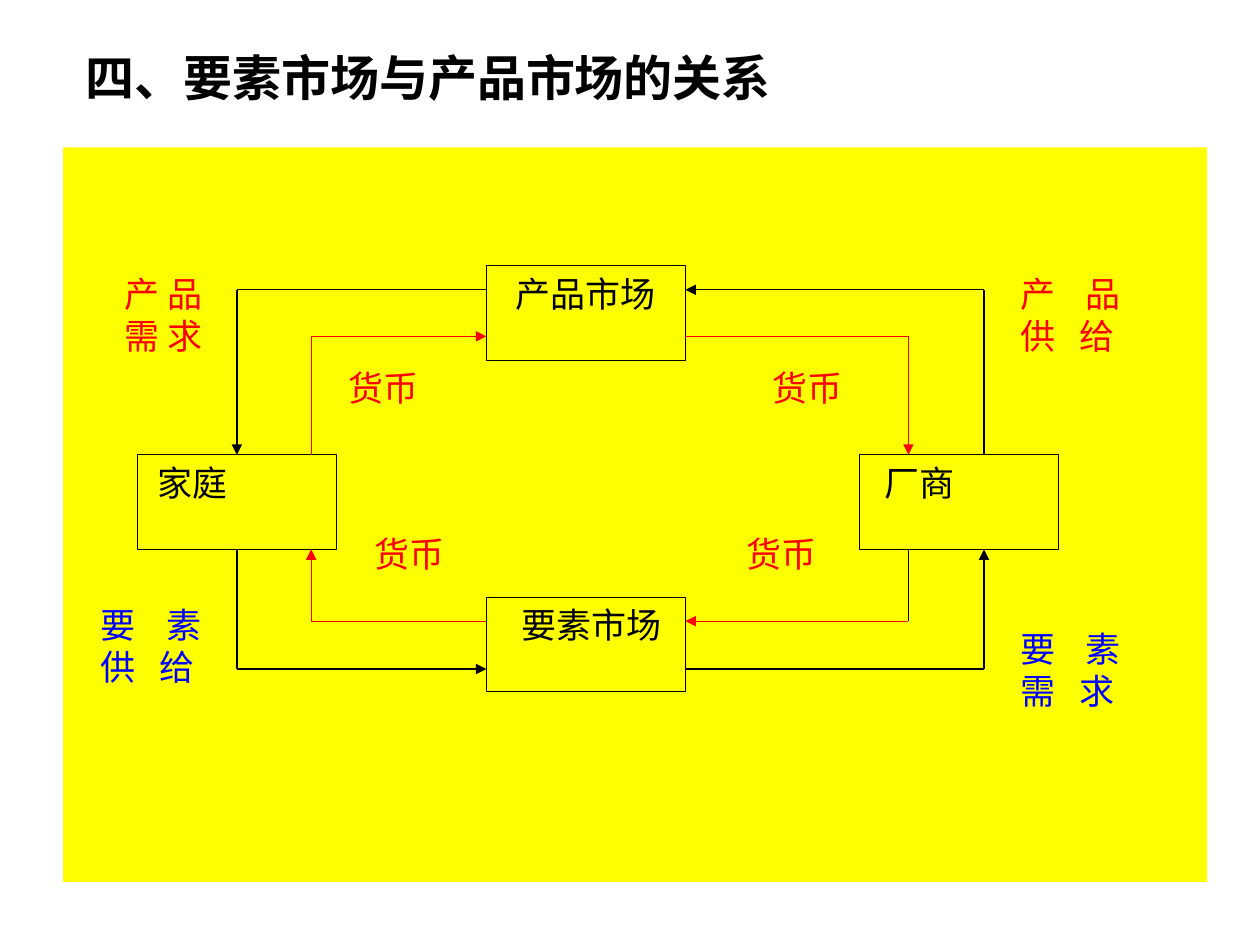
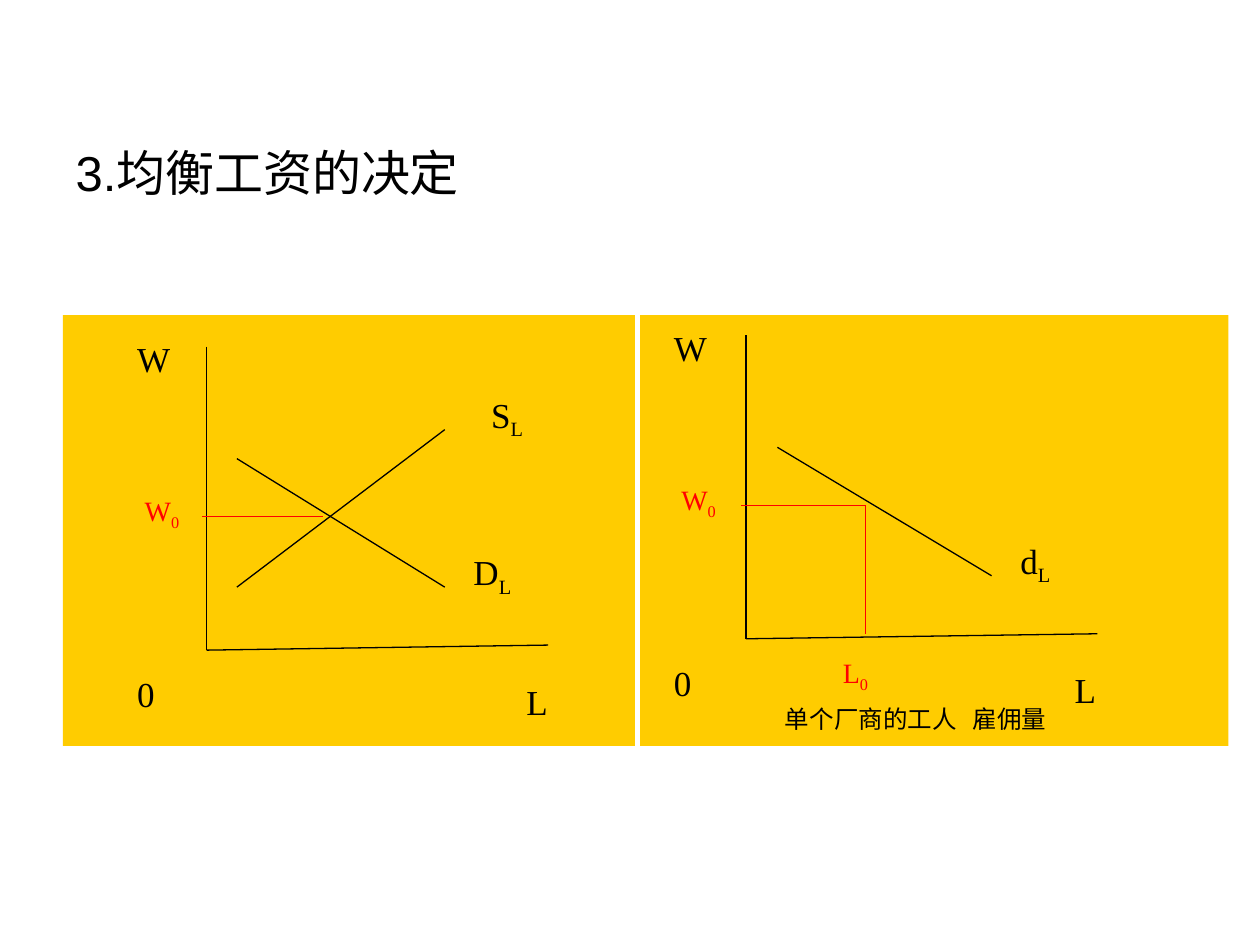
from dataclasses import dataclass, replace

from lxml import etree
from pptx import Presentation
from pptx import util as u
from pptx.dml.color import RGBColor
from pptx.enum import shapes, text
from pptx.oxml.ns import qn

PX = u.Inches(1) // 100
BLACK = RGBColor(0, 0, 0)
WHITE = RGBColor(255, 255, 255)
RED = RGBColor(255, 0, 0)
BLUE = RGBColor(0, 0, 255)
YELLOW = RGBColor(255, 255, 0)
GOLD = RGBColor(255, 204, 0)
TITLE_FONT, LABEL_FONT = "Arial", "Times New Roman"
TITLE_SIZE = 28
INSET_LEFT, INSET_RIGHT, INSET_Y = 10, 5, 5


@dataclass(frozen=True)
class Area:
    left: int
    top: int
    width: int
    height: int


@dataclass(frozen=True)
class Label:
    area: Area
    lines: tuple[str, ...]
    color: RGBColor = BLACK
    size: int = 20
    subscript: str = ""
    tabs: tuple[int, ...] = ()
    margin_left: int = INSET_LEFT
    filled: bool = True


@dataclass(frozen=True)
class Line:
    x1: int
    y1: int
    x2: int
    y2: int
    color: RGBColor = BLACK


@dataclass(frozen=True)
class Flow:
    """Two straight legs that meet at a corner; the second has an arrowhead."""
    start: tuple[int, int]
    corner: tuple[int, int]
    end: tuple[int, int]
    first_color: RGBColor
    arrow_color: RGBColor


@dataclass(frozen=True)
class GraphFrame:
    """Places shared graph coordinates inside one panel."""
    panel: Area
    stretch: float
    shift_x: int
    shift_y: int

    def x(self, value: int) -> int:
        return round(value * self.stretch) + self.shift_x

    def area(self, area: Area) -> Area:
        return Area(self.x(area.left), area.top + self.shift_y,
                    round(area.width * self.stretch), area.height)

    def line(self, line: Line) -> Line:
        return replace(line, x1=self.x(line.x1), x2=self.x(line.x2),
                       y1=line.y1 + self.shift_y, y2=line.y2 + self.shift_y)


def emu(area: Area) -> tuple[int, ...]:
    return tuple(value * PX for value in
                 (area.left, area.top, area.width, area.height))


def fill_shape(shape, color: RGBColor) -> None:
    shape.fill.solid()
    shape.fill.fore_color.rgb = color


def format_frame(frame, margin_left: int = INSET_LEFT) -> None:
    frame.word_wrap = True
    frame.auto_size = text.MSO_AUTO_SIZE.NONE
    frame.vertical_anchor = text.MSO_ANCHOR.TOP
    frame.margin_left, frame.margin_right = margin_left * PX, INSET_RIGHT * PX
    frame.margin_top = frame.margin_bottom = INSET_Y * PX


def add_run(paragraph, words: str, font: str, size: int, color: RGBColor,
            bold: bool = False):
    run = paragraph.add_run()
    run.text = words
    run.font.name, run.font.size = font, u.Pt(size)
    run.font.bold = bold
    run.font.color.rgb = color
    return run


def add_tab_stop(paragraph, position: int) -> None:
    tabs = etree.SubElement(paragraph._p.get_or_add_pPr(), qn("a:tabLst"))
    etree.SubElement(tabs, qn("a:tab"), pos=str(position * PX), algn="l")


def write_label(shape, label: Label) -> None:
    frame = shape.text_frame
    format_frame(frame, label.margin_left)
    for index, words in enumerate(label.lines):
        paragraph = frame.add_paragraph() if index else frame.paragraphs[0]
        paragraph.alignment = text.PP_ALIGN.LEFT
        if label.tabs:
            add_tab_stop(paragraph, label.tabs[index])
        add_run(paragraph, words, LABEL_FONT, label.size, label.color)
        if label.subscript:
            run = add_run(paragraph, label.subscript, LABEL_FONT, label.size,
                          label.color)
            run._r.get_or_add_rPr().set("baseline", "-25000")


def add_label(slide, label: Label, background: RGBColor) -> None:
    shape = slide.shapes.add_textbox(*emu(label.area))
    if label.filled:
        fill_shape(shape, background)
    write_label(shape, label)


def add_rectangle(slide, area: Area, color: RGBColor):
    shape = slide.shapes.add_shape(shapes.MSO_SHAPE.RECTANGLE, *emu(area))
    shape.shadow.inherit = False
    fill_shape(shape, color)
    shape.line.fill.background()
    return shape


def add_market_box(slide, label: Label):
    shape = add_rectangle(slide, label.area, YELLOW)
    shape.line.color.rgb = BLACK
    shape.line.width = u.Pt(0.75)
    write_label(shape, label)
    return shape


def add_line(slide, line: Line, arrow: bool = False):
    connector = slide.shapes.add_connector(
        shapes.MSO_CONNECTOR.STRAIGHT,
        *(value * PX for value in (line.x1, line.y1, line.x2, line.y2)))
    connector.line.color.rgb = line.color
    connector.line.width = u.Pt(0.75)
    if arrow:
        etree.SubElement(connector.line._get_or_add_ln(), qn("a:tailEnd"),
                         type="triangle")
    etree.SubElement(connector._element.spPr, qn("a:effectLst"))
    return connector


def add_flow(slide, flow: Flow):
    first = add_line(slide, Line(*flow.start, *flow.corner, flow.first_color))
    second = add_line(slide, Line(*flow.corner, *flow.end, flow.arrow_color),
                      arrow=True)
    return first, second


def add_titled_slide(presentation, title: str, area: Area, bold: bool):
    slide = presentation.slides.add_slide(presentation.slide_layouts[5])
    shape = slide.shapes.title
    shape.left, shape.top, shape.width, shape.height = emu(area)
    fill_shape(shape, WHITE)
    format_frame(shape.text_frame)
    paragraph = shape.text_frame.paragraphs[0]
    paragraph.alignment = text.PP_ALIGN.LEFT
    add_run(paragraph, title, TITLE_FONT, TITLE_SIZE, BLACK, bold)
    return slide


def market_box(left: int, top: int, name: str, margin_left: int) -> Label:
    return Label(Area(left, top, 158, 75), (name,), margin_left=margin_left)


def money_label(left: int, top: int, width: int = 99,
                filled: bool = True) -> Label:
    return Label(Area(left, top, width, 56), ("货币",), RED, filled=filled)


PRODUCT_MARKET = market_box(386, 211, "产品市场", 23)
FACTOR_MARKET = market_box(386, 474, "要素市场", 28)
HOUSEHOLD = market_box(109, 361, "家庭", 16)
FIRM = market_box(682, 361, "厂商", 20)

GOODS_TO_HOUSEHOLD = Flow((386, 230), (188, 230), (188, 361), BLACK, BLACK)
FACTORS_FROM_HOUSEHOLD = Flow((188, 436), (188, 531), (386, 531), BLACK, BLACK)
OTHER_FLOWS = (
    Flow((247, 361), (247, 267), (386, 267), RED, RED),
    Flow((544, 267), (721, 267), (721, 361), RED, RED),
    Flow((721, 436), (721, 493), (544, 493), BLACK, RED),
    Flow((386, 493), (247, 493), (247, 436), RED, RED),
    Flow((544, 531), (781, 531), (781, 436), BLACK, BLACK),
    Flow((781, 361), (781, 230), (544, 230), BLACK, BLACK),
)
WIDE_PAIR = (52, 47)
FLOW_LABELS = (
    money_label(267, 286),
    money_label(603, 286),
    money_label(583, 418, filled=False),
    money_label(287, 418, width=79),
    Label(Area(89, 211, 99, 94), ("产 品", "需 求"), RED, filled=False),
    Label(Area(800, 211, 99, 94), ("产\t品", "供\t给"), RED, tabs=WIDE_PAIR),
    Label(Area(70, 474, 99, 94), ("要\t素", "供\t给"), BLUE, tabs=WIDE_PAIR),
    Label(Area(800, 493, 99, 94), ("要\t素", "需\t求"), BLUE, tabs=WIDE_PAIR),
)

MARKET_GRAPH = GraphFrame(Area(50, 250, 454, 342), 1, 0, 0)
FIRM_GRAPH = GraphFrame(Area(508, 250, 467, 342), 1.03, 423, -9)
SHARED_LINES = (
    Line(164, 275, 164, 516),
    Line(164, 516, 435, 512),
    Line(188, 364, 353, 466),
    Line(256, 410, 160, 410, RED),
)
SHARED_LABELS = (
    Label(Area(408, 535, 41, 38), ("L",)),
    Label(Area(99, 263, 49, 44), ("W",)),
    Label(Area(99, 529, 65, 38), ("0",)),
    Label(Area(105, 387, 49, 44), ("W",), RED, 16, "0"),
)


def add_circulation_slide(presentation) -> None:
    slide = add_titled_slide(presentation, "四、要素市场与产品市场的关系",
                             Area(58, 33, 842, 603), bold=True)
    add_rectangle(slide, Area(50, 117, 908, 583), YELLOW)
    for market in (FACTOR_MARKET, PRODUCT_MARKET, FIRM):
        add_market_box(slide, market)
    household = add_market_box(slide, HOUSEHOLD)

    _, goods_arrow = add_flow(slide, GOODS_TO_HOUSEHOLD)
    goods_arrow.end_connect(household, 0)
    factors_line, _ = add_flow(slide, FACTORS_FROM_HOUSEHOLD)
    factors_line.begin_connect(household, 2)
    for flow in OTHER_FLOWS:
        add_flow(slide, flow)
    for label in FLOW_LABELS:
        add_label(slide, label, YELLOW)


def add_graph(slide, frame: GraphFrame, curve_name: str,
              curve_area: Area) -> None:
    """Draw a panel with axes, a demand curve and the wage level."""
    add_rectangle(slide, frame.panel, GOLD)
    curve_label = Label(curve_area, (curve_name,), subscript="L")
    for label in SHARED_LABELS + (curve_label,):
        add_label(slide, replace(label, area=frame.area(label.area)), GOLD)
    for line in SHARED_LINES:
        add_line(slide, frame.line(line))


def add_wage_slide(presentation) -> None:
    slide = add_titled_slide(presentation, "3.均衡工资的决定",
                             Area(50, 108, 900, 562), bold=False)
    demand_area = Area(366, 432, 53, 38)
    add_graph(slide, MARKET_GRAPH, "D", demand_area)
    add_line(slide, Line(188, 466, 353, 341))
    add_label(slide, Label(Area(380, 307, 53, 38), ("S",), subscript="L"), GOLD)

    add_graph(slide, FIRM_GRAPH, "d", demand_area)
    add_line(slide, Line(687, 401, 687, 503, RED))
    add_label(slide, Label(Area(659, 515, 42, 38), ("L",), RED, 16, "0"), GOLD)
    add_label(slide, Label(Area(596, 554, 262, 36), ("单个厂商的工人\t雇佣量",),
                           size=14, tabs=(149,), margin_left=27,
                           filled=False), GOLD)


def main() -> None:
    presentation = Presentation()
    presentation.slide_width = 1000 * PX
    presentation.slide_height = 750 * PX
    add_circulation_slide(presentation)
    add_wage_slide(presentation)
    presentation.save("out.pptx")


if __name__ == "__main__":
    main()
